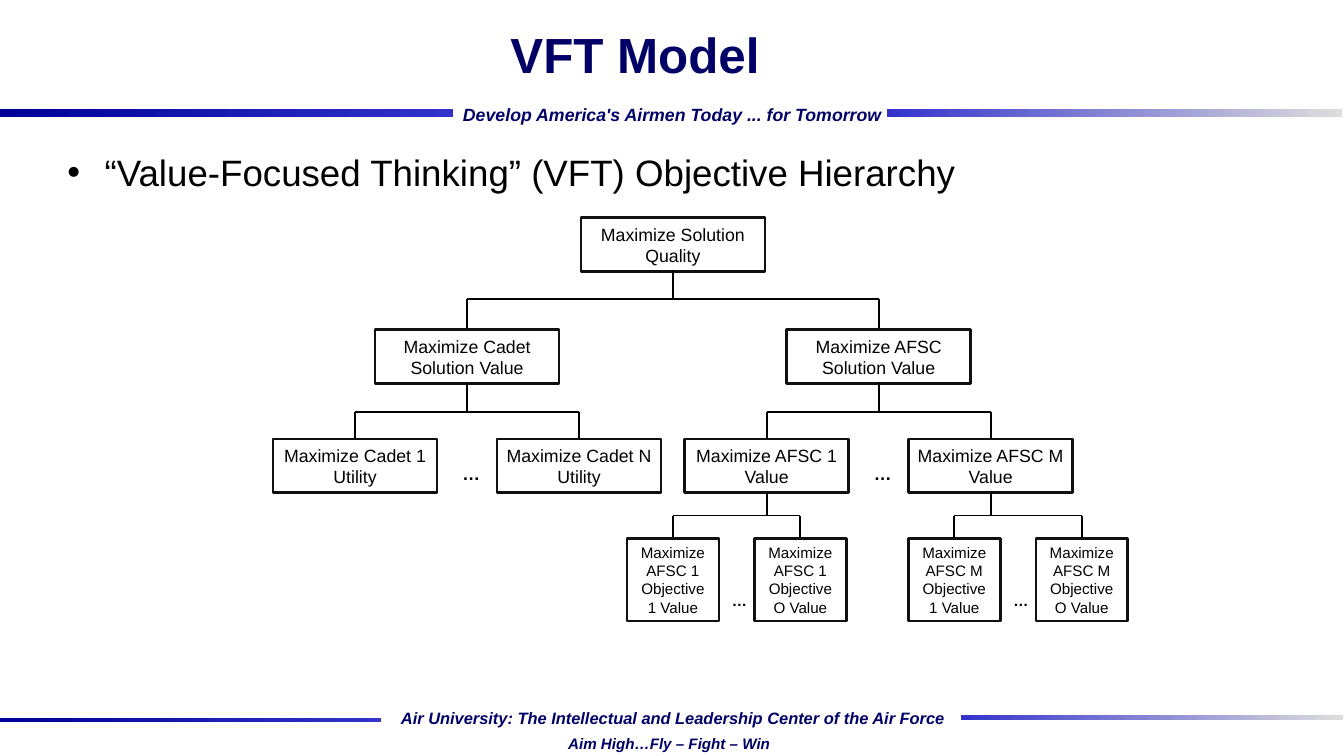
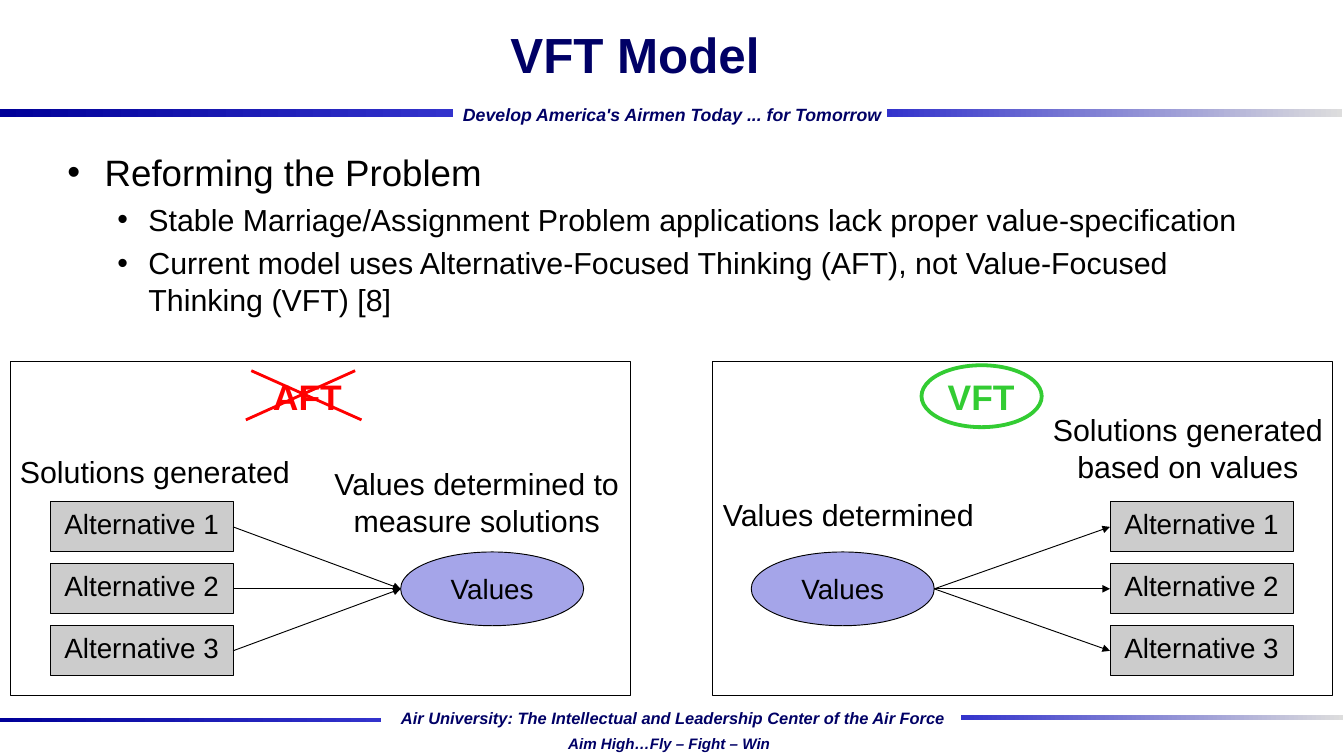
import pptx
import pptx.util
import pptx.dml.color
import pptx.enum.shapes
import pptx.enum.text
from lxml import etree

Inches, Pt = pptx.util.Inches, pptx.util.Pt
SHAPE = pptx.enum.shapes.MSO_SHAPE
ALIGN = pptx.enum.text.PP_ALIGN
ANCHOR = pptx.enum.text.MSO_ANCHOR
DRAWING = "{http://schemas.openxmlformats.org/drawingml/2006/main}"

FONT = "Arial"
NAVY, BLUE, INK = "000066", "3333CC", "000000"
BOX_EDGE, RED, GREEN = "101010", "FF0000", "33CC33"
GREY, LILAC = "CCCCCC", "A5A5E9"

TITLE = "VFT Model"
TITLE_STYLE = dict(size=39, color=NAVY, bold=True, align=ALIGN.CENTER)
MOTTO_STYLE = dict(color=NAVY, bold=True, italic=True, align=ALIGN.CENTER, wrap=False)

# left, top, width, height, start colour, end colour
BANDS = [
    (-0.02, 1.2, 5, 0.09, "000099", BLUE),
    (9.74, 1.2, 5, 0.09, BLUE, "DDDDDD"),
    (-0.02, 7.88, 4.2, 0.05, "000099", BLUE),
    (10.55, 7.85, 4.2, 0.05, BLUE, "DDDDDD"),
]
MOTTOES = [
    ("Develop America's Airmen Today ... for Tomorrow", (4.97, 1.09, 4.83, 0.34), 14),
    ("Air University: The Intellectual and Leadership Center of the Air Force",
     (4.26, 7.72, 6.25, 0.31), 13),
    ("Aim High…Fly – Fight – Win", (6.11, 8.01, 2.48, 0.29), 12),
]

# size, text indent, hanging indent and space before, by outline level
BULLET_LEVELS = [(29, 0.41, 0.41, 6), (24, 0.89, 0.34, 5.5)]
HIERARCHY_BULLETS = [(0, "“Value-Focused Thinking” (VFT) Objective Hierarchy")]
REFORM_BULLETS = [
    (0, "Reforming the Problem"),
    (1, "Stable Marriage/Assignment Problem applications lack proper value-specification"),
    (1, "Current model uses Alternative-Focused Thinking (AFT), not Value-Focused "
        "Thinking (VFT) [8]"),
]

# top, width, height, text size, height of the branch line above
TREE_LEVELS = [
    (2.39, 2.02, 0.59, 14, None),
    (3.62, 2.02, 0.59, 14, 3.28),
    (4.82, 1.8, 0.59, 14, 4.52),
    (5.91, 1.01, 0.91, 12, 5.66),
]
# label, centre, children
OBJECTIVES = ("Maximize Solution Quality", 7.39, [
    ("Maximize Cadet Solution Value", 5.13, [
        ("Maximize Cadet 1 Utility", 3.9, []),
        ("Maximize Cadet N Utility", 6.36, []),
    ]),
    ("Maximize AFSC Solution Value", 9.65, [
        ("Maximize AFSC 1 Value", 8.42, [
            ("Maximize AFSC 1 Objective 1 Value", 7.39, []),
            ("Maximize AFSC 1 Objective O Value", 8.79, []),
        ]),
        ("Maximize AFSC M Value", 10.88, [
            ("Maximize AFSC M Objective 1 Value", 10.48, []),
            ("Maximize AFSC M Objective O Value", 11.88, []),
        ]),
    ]),
])

ALTERNATIVES = ["Alternative 1", "Alternative 2", "Alternative 3"]
NODE_WIDTH, ALTERNATIVE_HEIGHT, ALTERNATIVE_PITCH = 2.01, 0.55, 0.68
ALTERNATIVES_TOP, VALUES_TOP, VALUES_HEIGHT = 5.51, 6.06, 0.81
APPROACHES = [
    dict(panel=0.12, alternatives=0.55, values=4.4, name="AFT", color=RED,
         name_at=(2.9, 4.07, 0.97, 0.57),
         heading=("Solutions generated", (0.12, 4.93, 3.2, 0.5)),
         note=("Values determined to measure solutions", (3.52, 5.06, 3.43, 0.94))),
    dict(panel=7.83, alternatives=12.19, values=8.25, name="VFT", color=GREEN,
         name_at=(10.31, 4.07, 0.94, 0.57),
         heading=("Values determined", (7.84, 5.4, 2.99, 0.5)),
         note=("Solutions generated based on values", (11.33, 4.47, 3.43, 0.94))),
]
REJECTION_STROKES = [((2.76, 4.07), (3.97, 4.61)), ((2.7, 4.61), (3.9, 4.07))]
APPROVAL_RING = (10.12, 4.01, 1.32, 0.68)


def rgb(value):
    return pptx.dml.color.RGBColor.from_string(value)


def inches(*lengths):
    return [Inches(length) for length in lengths]


def place(shape, box):
    for side, length in zip(("left", "top", "width", "height"), inches(*box)):
        setattr(shape, side, length)


def write(paragraph, text, size, color=INK, bold=False, italic=False, align=ALIGN.LEFT):
    paragraph.alignment = align
    run = paragraph.add_run()
    run.text = text
    run.font.color.rgb = rgb(color)
    for key, value in dict(name=FONT, size=Pt(size), bold=bold, italic=italic).items():
        setattr(run.font, key, value)


def add_text(slide, text, box, size, wrap=True, **style):
    frame = slide.shapes.add_textbox(*inches(*box)).text_frame
    frame.word_wrap = wrap
    write(frame.paragraphs[0], text, size, **style)
    return frame


def add_figure(slide, kind, box, edge=None, weight=0.75, fill=None):
    figure = slide.shapes.add_shape(kind, *inches(*box))
    figure.shadow.inherit = False
    if fill:
        figure.fill.solid()
        figure.fill.fore_color.rgb = rgb(fill)
    else:
        figure.fill.background()
    if edge:
        figure.line.color.rgb = rgb(edge)
        figure.line.width = Pt(weight)
    else:
        figure.line.fill.background()
    return figure


def add_node(slide, kind, box, text, size, anchor=ANCHOR.MIDDLE, **look):
    frame = add_figure(slide, kind, box, **look).text_frame
    frame.word_wrap = True
    frame.vertical_anchor = anchor
    write(frame.paragraphs[0], text, size, align=ALIGN.CENTER)


def add_line(slide, start, end, color=INK, weight=1.5, arrow=False):
    line = slide.shapes.add_connector(
        pptx.enum.shapes.MSO_CONNECTOR.STRAIGHT, *inches(*start, *end))
    line.line.color.rgb = rgb(color)
    line.line.width = Pt(weight)
    if arrow:
        etree.SubElement(line.line._get_or_add_ln(), DRAWING + "tailEnd", type="triangle")
    etree.SubElement(line.element.spPr, DRAWING + "effectLst")


def add_bands_and_mottoes(slide, layout):
    """Draw the shared parts on the slide, then hand them to the layout."""
    own_count = len(slide.shapes)
    for *box, start, end in BANDS:
        band = add_figure(slide, SHAPE.RECTANGLE, box)
        band.fill.gradient()
        band.fill.gradient_angle = 0
        for stop, color, position in zip(band.fill.gradient_stops, (start, end), (0, 1)):
            stop.color.rgb = rgb(color)
            stop.position = position
    for text, box, size in MOTTOES:
        add_text(slide, text, box, size, **MOTTO_STYLE)
    for shape in list(slide.shapes)[own_count:]:
        layout.shapes.element.append(shape.element)


def add_titled_slide(prs, layout, bullets):
    slide = prs.slides.add_slide(layout)
    title = slide.shapes.title
    place(title, (1.26, 0, 11.43, 1.17))
    title.text_frame.vertical_anchor = ANCHOR.MIDDLE
    write(title.text_frame.paragraphs[0], TITLE, **TITLE_STYLE)

    frame = slide.shapes.add_textbox(*inches(0.63, 1.6, 13.5, 2.2)).text_frame
    frame.word_wrap = True
    frame.margin_left = frame.margin_right = Inches(0.11)
    for index, (level, text) in enumerate(bullets):
        paragraph = frame.add_paragraph() if index else frame.paragraphs[0]
        size, indent, hanging, space = BULLET_LEVELS[level]
        paragraph.level = level
        properties = paragraph._p.get_or_add_pPr()
        properties.set("marL", str(Inches(indent)))
        properties.set("indent", str(-Inches(hanging)))
        etree.SubElement(properties, DRAWING + "buFont", typeface=FONT)
        etree.SubElement(properties, DRAWING + "buChar", char="•")
        if index:
            paragraph.space_before = Pt(space)
        write(paragraph, text, size)
    return slide


def add_objective(slide, objective, depth=0):
    """Draw one objective, its branch lines and everything below it."""
    label, centre, children = objective
    top, width, height, size, _ = TREE_LEVELS[depth]
    add_node(slide, SHAPE.RECTANGLE, (centre - width / 2, top, width, height),
             label, size, edge=BOX_EDGE, weight=2)
    if not children:
        return
    child_top, _, child_height, child_size, branch = TREE_LEVELS[depth + 1]
    centres = [child[1] for child in children]
    add_line(slide, (centre, top + height), (centre, branch))
    add_line(slide, (min(centres), branch), (max(centres), branch))
    for child in children:
        add_line(slide, (child[1], branch), (child[1], child_top))
        add_objective(slide, child, depth + 1)
    if depth:
        middle = sum(centres) / len(centres)
        add_text(slide, "…", (middle - 0.15, child_top + child_height - 0.38, 0.3, 0.32),
                 child_size, bold=True, align=ALIGN.CENTER, wrap=False)


def add_approach(slide, approach):
    """Draw one panel that links the alternatives and the values."""
    add_figure(slide, SHAPE.RECTANGLE, (approach["panel"], 3.97, 6.8, 3.67), edge=INK)
    add_node(slide, SHAPE.OVAL, (approach["values"], VALUES_TOP, NODE_WIDTH, VALUES_HEIGHT),
             "Values", 22, edge=INK, fill=LILAC)
    alternatives_first = approach["alternatives"] < approach["values"]
    left, right = sorted((approach["alternatives"], approach["values"]))
    values_middle = VALUES_TOP + VALUES_HEIGHT / 2
    for index, alternative in enumerate(ALTERNATIVES):
        top = ALTERNATIVES_TOP + index * ALTERNATIVE_PITCH
        add_node(slide, SHAPE.RECTANGLE,
                 (approach["alternatives"], top, NODE_WIDTH, ALTERNATIVE_HEIGHT),
                 alternative, 22, anchor=ANCHOR.TOP, edge=INK, fill=GREY)
        heights = [top + ALTERNATIVE_HEIGHT / 2, values_middle]
        start, end = heights if alternatives_first else reversed(heights)
        add_line(slide, (left + NODE_WIDTH, start), (right, end), weight=0.75, arrow=True)
    add_text(slide, *approach["heading"], 24, wrap=False)
    add_text(slide, *approach["note"], 24, align=ALIGN.CENTER)
    add_text(slide, approach["name"], approach["name_at"], 28, wrap=False,
             color=approach["color"], bold=True)


def main():
    prs = pptx.Presentation()
    prs.slide_width, prs.slide_height = inches(14.76, 8.3)
    layout = prs.slide_layouts.get_by_name("Title Only")

    hierarchy = add_titled_slide(prs, layout, HIERARCHY_BULLETS)
    add_bands_and_mottoes(hierarchy, layout)
    add_objective(hierarchy, OBJECTIVES)

    reform = add_titled_slide(prs, layout, REFORM_BULLETS)
    for start, end in REJECTION_STROKES:
        add_line(reform, start, end, RED, 2.25)
    for approach in APPROACHES:
        add_approach(reform, approach)
    add_figure(reform, SHAPE.OVAL, APPROVAL_RING, edge=GREEN, weight=3)

    prs.save("out.pptx")


if __name__ == "__main__":
    main()
